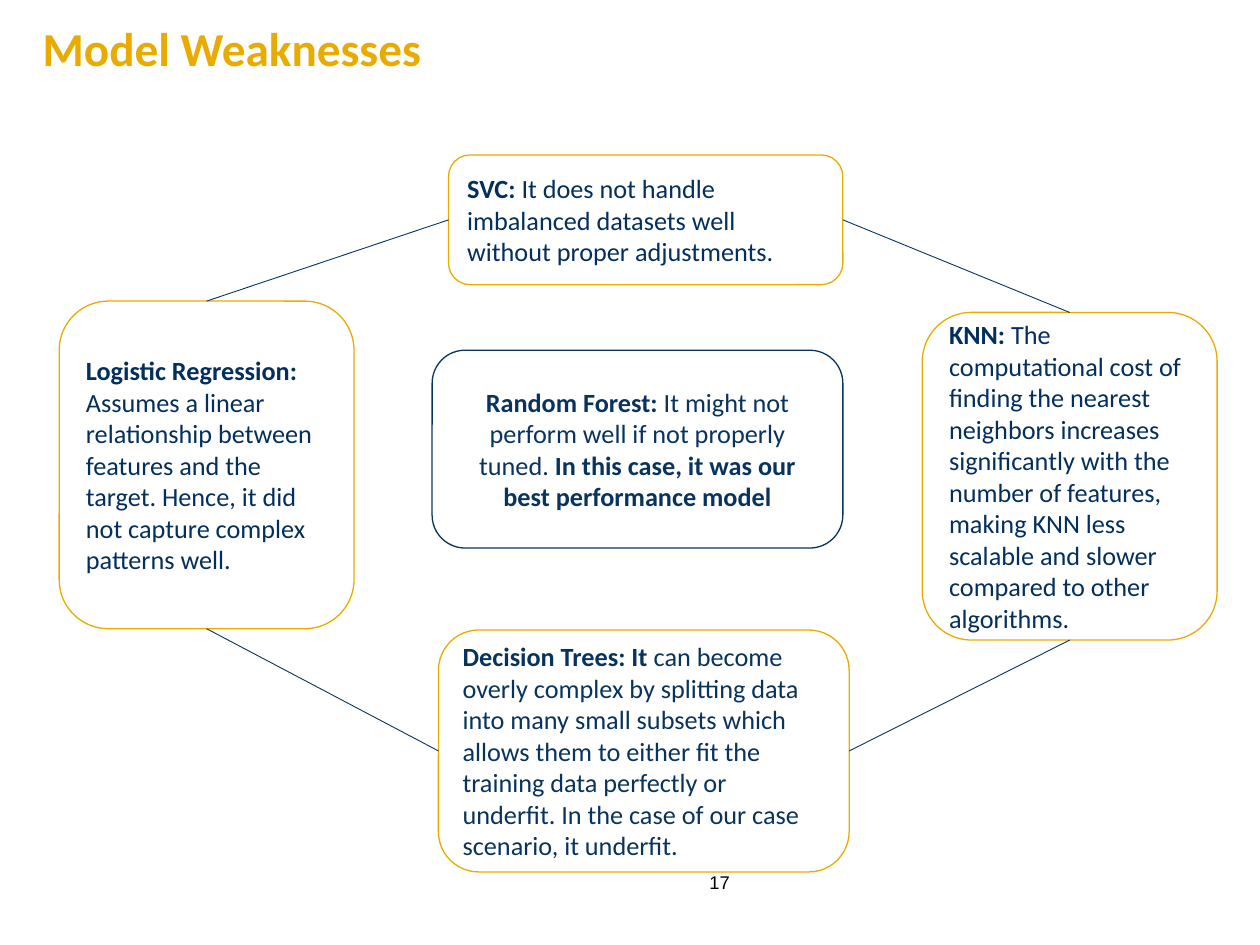
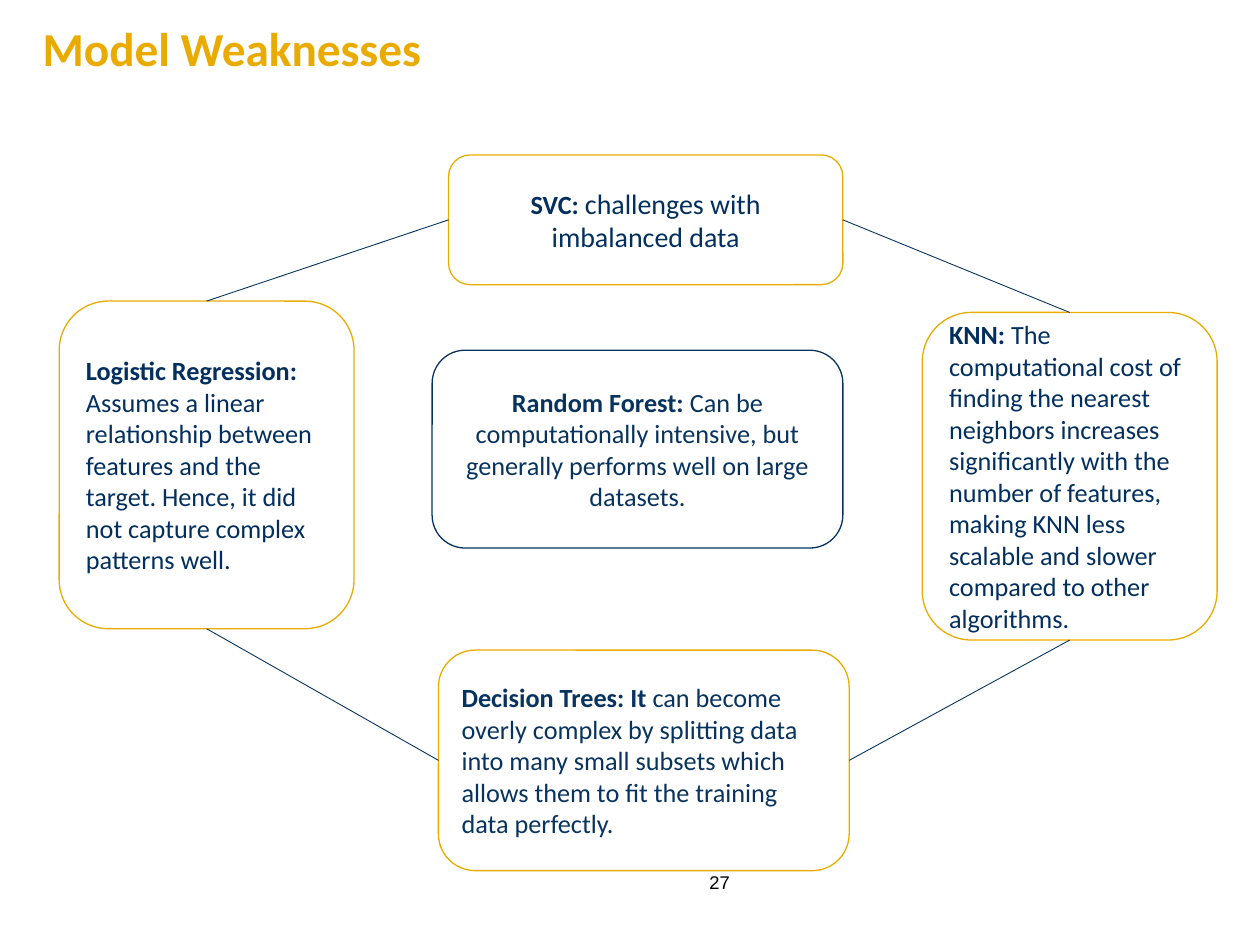
from pptx import Presentation
from pptx.dml.color import RGBColor
from pptx.enum.shapes import MSO_CONNECTOR as Connector, MSO_SHAPE as Shape
from pptx.enum.text import MSO_ANCHOR as Anchor, PP_ALIGN as Align
from pptx.oxml.ns import qn
from pptx.util import Inches, Pt
from lxml.etree import SubElement

GOLD, NAVY, DEEP_NAVY = "EAAB00", "08335E", "032F5E"
WHITE, BLACK = "FFFFFF", "000000"
TOP, LEFT, BOTTOM, RIGHT = range(4)  # connection sites of a rounded box


def rgb(hex_code):
    return RGBColor.from_string(hex_code)


class Deck:
    """Holds the shared style and the slide being built."""

    def __init__(self):
        self.prs = Presentation()
        self.prs.slide_width, self.prs.slide_height = Inches(10), Inches(7.5)
        self.slide = None

    def new_slide(self, title, number):
        self.slide = self.prs.slides.add_slide(self.prs.slide_layouts[6])
        self.label(number, (5.4, 6.8, 0.49, 0.4), "Arial", 10.5, BLACK,
                   align=Align.RIGHT, anchor=Anchor.MIDDLE)
        self.label(title, (0.24, 0.1, 7.82, 0.57), "Calibri", 27, GOLD, bold=True)

    def style(self, paragraph, font_name, size, color, align):
        paragraph.alignment = align
        font = paragraph.font
        font.name, font.size = font_name, Pt(size)
        font.color.rgb = rgb(color)
        return font

    def label(self, text, area, font_name, size, color, bold=False,
              align=Align.LEFT, anchor=Anchor.TOP):
        frame = self.slide.shapes.add_textbox(*map(Inches, area)).text_frame
        frame.word_wrap, frame.vertical_anchor = True, anchor
        paragraph = frame.paragraphs[0]
        paragraph.text = text
        self.style(paragraph, font_name, size, color, align).bold = bold

    def model_box(self, area, name, weakness, emphasis="", color=DEEP_NAVY,
                  outline=GOLD, align=Align.LEFT, body_size=None):
        box = self.slide.shapes.add_shape(Shape.ROUNDED_RECTANGLE, *map(Inches, area))
        box.shadow.inherit = False
        box.fill.solid()
        box.fill.fore_color.rgb = rgb(WHITE)
        box.line.color.rgb = rgb(outline)
        box.line.width = Pt(0.75)
        box.text_frame.word_wrap = True
        box.text_frame.vertical_anchor = Anchor.MIDDLE
        paragraph = box.text_frame.paragraphs[0]
        self.style(paragraph, "Calibri", 15, color, align)
        for text, bold in ((name, True), (weakness, False), (emphasis, True)):
            if text:
                run = paragraph.add_run()
                run.text, run.font.bold = text, bold
                if body_size and not bold:
                    run.font.size = Pt(body_size)
        return box

    def link(self, start, start_site, end, end_site):
        line = self.slide.shapes.add_connector(Connector.STRAIGHT, 0, 0, 0, 0)
        line.begin_connect(start, start_site)
        line.end_connect(end, end_site)
        line.line.color.rgb = rgb(NAVY)
        line.line.width = Pt(0.5)
        SubElement(line._element.spPr, qn("a:effectLst"))

    def weaknesses(self, number, trees_top, trees_height, trees_text, forest, svc):
        """One ring of models around the random forest."""
        self.new_slide("Model Weaknesses", number)
        trees = self.model_box((3.48, trees_top, 3.26, trees_height),
                               "Decision Trees: It ", trees_text, color=NAVY)
        self.model_box((3.43, 2.78, 3.26, 1.57), "Random Forest: ", **forest,
                       color=NAVY, outline=NAVY, align=Align.CENTER)
        logistic = self.model_box(
            (0.47, 2.39, 2.34, 2.6), "Logistic Regression: ",
            "Assumes a linear relationship between features and the target. "
            "Hence, it did not capture complex patterns well.")
        knn = self.model_box(
            (7.32, 2.48, 2.34, 2.6), "KNN: ",
            "The computational cost of finding the nearest neighbors increases "
            "significantly with the number of features, making KNN less scalable "
            "and slower compared to other algorithms.")
        svc_box = self.model_box((3.56, 1.23, 3.13, 1.03), "SVC: ", **svc)
        # Links around the ring
        self.link(svc_box, LEFT, logistic, TOP)
        self.link(logistic, BOTTOM, trees, LEFT)
        self.link(knn, BOTTOM, trees, RIGHT)
        self.link(svc_box, RIGHT, knn, TOP)


def main():
    deck = Deck()

    # Weaknesses seen in this case
    deck.weaknesses(
        "17", 5, 1.92,
        "can become overly complex by splitting data into many small subsets "
        "which allows them to either fit the training data perfectly or underfit. "
        "In the case of our case scenario, it underfit.",
        forest={"weakness": "It might not perform well if not properly tuned. ",
                "emphasis": "In this case, it was our best performance model"},
        svc={"weakness": "It does not handle imbalanced datasets well "
                         "without proper adjustments."})

    # Weaknesses in general
    deck.weaknesses(
        "27", 5.16, 1.75,
        "can become overly complex by splitting data into many small subsets "
        "which allows them to fit the training data perfectly.",
        forest={"weakness": "Can be computationally intensive, but generally "
                            "performs well on large datasets."},
        svc={"weakness": "challenges with imbalanced data",
             "align": Align.CENTER, "body_size": 16})

    deck.prs.save("out.pptx")


if __name__ == "__main__":
    main()
